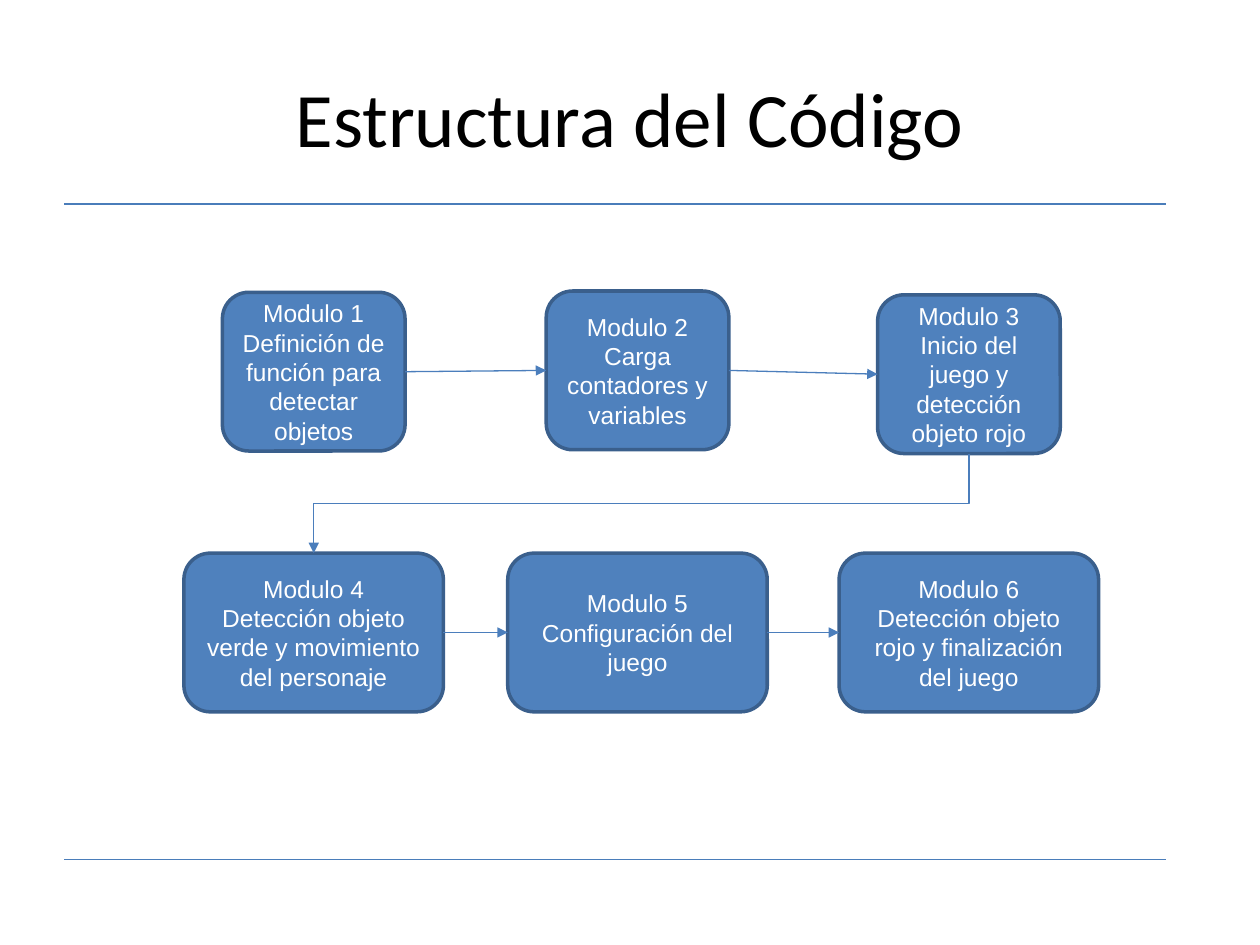
from lxml.etree import SubElement
from pptx import Presentation
from pptx.dml.color import RGBColor
from pptx.enum.shapes import MSO_CONNECTOR as Connector, MSO_SHAPE as Shape
from pptx.enum.text import MSO_ANCHOR as Anchor, PP_ALIGN as Align
from pptx.oxml.ns import qn
from pptx.util import Inches, Pt


def color(value):
    return RGBColor.from_string(value)


def add_line(kind, start, end, line_color):
    line = slide.shapes.add_connector(kind, *map(Inches, start + end))
    line.line.color.rgb = color(line_color)
    line.line.width = Pt(0.75)
    SubElement(line._element.spPr, qn("a:effectLst"))
    return line


presentation = Presentation()
presentation.slide_width = Inches(10)
presentation.slide_height = Inches(7.5)
slide = presentation.slides.add_slide(presentation.slide_layouts[6])

for rule_y in (1.62, 6.82):
    add_line(Connector.STRAIGHT, (0.51, rule_y), (9.25, rule_y), "4A7DBA")

title = slide.shapes.add_textbox(Inches(0.5), Inches(0.3), Inches(9), Inches(1.25))
frame = title.text_frame
frame.word_wrap = True
frame.vertical_anchor = Anchor.MIDDLE
frame.margin_top = frame.margin_bottom = Inches(0.1)
paragraph = frame.paragraphs[0]
paragraph.text = "Estructura del Código"
paragraph.alignment = Align.CENTER
paragraph.font.name = "Calibri"
paragraph.font.size = Pt(44)
paragraph.font.color.rgb = color("000000")

column_centers = (2.49, 5.06, 7.69)
box_height = 1.26
rows = [
    (1.45, (2.32, 2.31, 2.34), (
        "Definición de función para detectar objetos",
        "Carga contadores y variables",
        "Inicio del juego y detección objeto rojo",
    )),
    (2.06, (4.39, 4.39, 4.39), (
        "Detección objeto verde y movimiento del personaje",
        "Configuración del juego",
        "Detección objeto rojo y finalización del juego",
    )),
]

modules = []
for box_width, tops, descriptions in rows:
    for center, top, description in zip(column_centers, tops, descriptions):
        module = slide.shapes.add_shape(
            Shape.ROUNDED_RECTANGLE, Inches(center - box_width / 2), Inches(top),
            Inches(box_width), Inches(box_height))
        modules.append(module)
        module.shadow.inherit = False
        module.fill.solid()
        module.fill.fore_color.rgb = color("4F81BD")
        module.line.color.rgb = color("3A5F8C")
        module.line.width = Pt(2)
        frame = module.text_frame
        frame.word_wrap = True
        frame.vertical_anchor = Anchor.MIDDLE
        frame.text = f"Modulo {len(modules)}\n{description}"
        for paragraph in frame.paragraphs:
            paragraph.alignment = Align.CENTER
            paragraph.font.name = "Arial"
            paragraph.font.size = Pt(14)
            paragraph.font.color.rgb = color("FFFFFF")

top_site, left_site, bottom_site, right_site = range(4)
for source, target in zip(modules, modules[1:]):
    wraps = target.left < source.left
    kind = Connector.ELBOW if wraps else Connector.STRAIGHT
    arrow = add_line(kind, (0, 0), (1, 1), "4B7EBC")
    arrow.begin_connect(source, bottom_site if wraps else right_site)
    arrow.end_connect(target, top_site if wraps else left_site)
    SubElement(arrow.line._get_or_add_ln(), qn("a:tailEnd"), type="triangle")
    if wraps:
        span, drop = arrow.width, arrow.height
        arrow.left += (span - drop) // 2
        arrow.top -= (span - drop) // 2
        arrow.width, arrow.height = drop, span
        transform = arrow._element.spPr.xfrm
        transform.flipH = False
        transform.set("rot", "5400000")

presentation.save("out.pptx")
